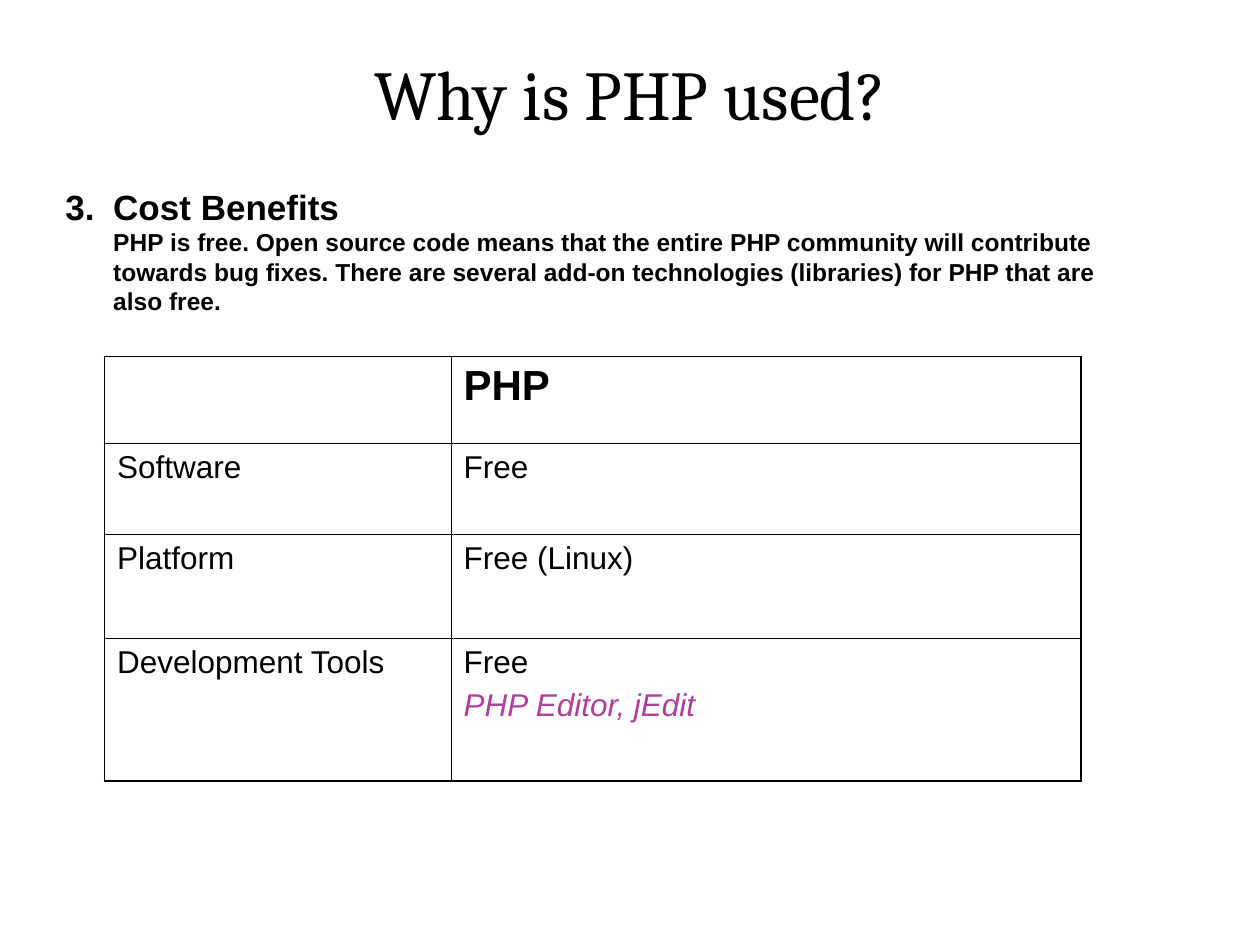
from lxml import etree
from pptx import Presentation
from pptx.dml.color import RGBColor
from pptx.enum import text
from pptx.oxml import ns
from pptx.util import Inches, Pt

TITLE = "Why is PHP used?"
HEADING = "Cost Benefits"
EXPLANATION = (
    "PHP is free. Open source code means that the entire PHP community will "
    "contribute towards bug fixes. There are several add-on technologies "
    "(libraries) for PHP that are also free."
)
BLACK, WHITE, PURPLE = "000000", "FFFFFF", "B13F9A"
HEADER = {"size": Pt(24), "bold": True}
PLAIN = {"size": Pt(18), "bold": False}
TOOLS = {"size": Pt(18), "italic": True, "color": PURPLE}
# Each cell is a list of (wording, format) paragraphs.
COSTS = [
    [[], [("PHP", HEADER)]],
    [[("Software", PLAIN)], [("Free", PLAIN)]],
    [[("Platform", PLAIN)], [("Free (Linux)", PLAIN)]],
    [[("Development Tools", PLAIN)],
     [("Free", PLAIN), ("PHP Editor, jEdit", TOOLS)]],
]
COLUMN_WIDTHS = [2.75, 5]
ROW_HEIGHTS = [0.69, 0.72, 0.83, 1.13]
OUTER_LINE, INNER_LINE = 1.08, 0.45


def rgb(color):
    return RGBColor.from_string(color)


def format_font(font, size, color=BLACK, name="Arial", **values):
    for attribute, value in {"size": size, "name": name, **values}.items():
        setattr(font, attribute, value)
    font.color.rgb = rgb(color)


def add_child(parent, tag, **attributes):
    return etree.SubElement(parent, ns.qn(tag), attributes)


def set_borders(cell, widths):
    """Draw black borders, given points for the L, R, T and B sides."""
    properties = cell._tc.get_or_add_tcPr()
    for position, (side, width) in enumerate(widths.items()):
        line = add_child(properties, f"a:ln{side}", w=str(Pt(width)))
        fill = add_child(line, "a:solidFill")
        add_child(fill, "a:srgbClr", val=BLACK)
        properties.insert(position, line)


def add_title(slide):
    title = slide.shapes.title
    title.left, title.top = Inches(0.5), Inches(0.3)
    title.width, title.height = Inches(9), Inches(0.87)
    frame = title.text_frame
    frame.vertical_anchor = text.MSO_ANCHOR.MIDDLE
    paragraph = frame.paragraphs[0]
    paragraph.alignment = text.PP_ALIGN.CENTER
    run = paragraph.add_run()
    run.text = TITLE
    format_font(run.font, Pt(40), name="Cambria")


def add_costs(slide):
    costs = slide.shapes.add_table(
        len(ROW_HEIGHTS), len(COLUMN_WIDTHS), Inches(0.83), Inches(2.83),
        Inches(sum(COLUMN_WIDTHS)), Inches(sum(ROW_HEIGHTS))).table
    costs.first_row = costs.horz_banding = False
    for column, width in zip(costs.columns, COLUMN_WIDTHS):
        column.width = Inches(width)
    for row, height in zip(costs.rows, ROW_HEIGHTS):
        row.height = Inches(height)

    last_row, last_column = len(ROW_HEIGHTS) - 1, len(COLUMN_WIDTHS) - 1
    for r, cells in enumerate(COSTS):
        for c, paragraphs in enumerate(cells):
            cell = costs.cell(r, c)
            cell.fill.solid()
            cell.fill.fore_color.rgb = rgb(WHITE)
            on_edge = {"L": c == 0, "R": c == last_column,
                       "T": r == 0, "B": r == last_row}
            set_borders(cell, {side: OUTER_LINE if edge else INNER_LINE
                               for side, edge in on_edge.items()})
            frame = cell.text_frame
            for index, (wording, values) in enumerate(paragraphs):
                paragraph = frame.add_paragraph() if index else frame.paragraphs[0]
                if index:
                    paragraph.space_before = Pt(4.5)
                run = paragraph.add_run()
                run.text = wording
                format_font(run.font, **values)


def add_reason(slide):
    frame = slide.shapes.add_textbox(
        Inches(0.42), Inches(1.42), Inches(8.69), Inches(1.6)).text_frame
    frame.word_wrap = True
    paragraph = frame.paragraphs[0]
    properties = paragraph._p.get_or_add_pPr()
    indent = Inches(0.38)
    properties.set("marL", str(indent))
    properties.set("indent", str(-indent))
    add_child(properties, "a:buFont", typeface="+mj-lt")
    add_child(properties, "a:buAutoNum", type="arabicPeriod", startAt="3")
    heading = paragraph.add_run()
    heading.text = HEADING
    format_font(heading.font, Pt(20), bold=True)
    paragraph.add_line_break()
    explanation = paragraph.add_run()
    explanation.text = EXPLANATION
    format_font(explanation.font, Pt(14), bold=True)


def main():
    deck = Presentation()
    deck.slide_width, deck.slide_height = Inches(10), Inches(7.5)
    slide = deck.slides.add_slide(deck.slide_layouts.get_by_name("Title Only"))
    add_title(slide)
    add_costs(slide)
    add_reason(slide)
    deck.save("out.pptx")


if __name__ == "__main__":
    main()
